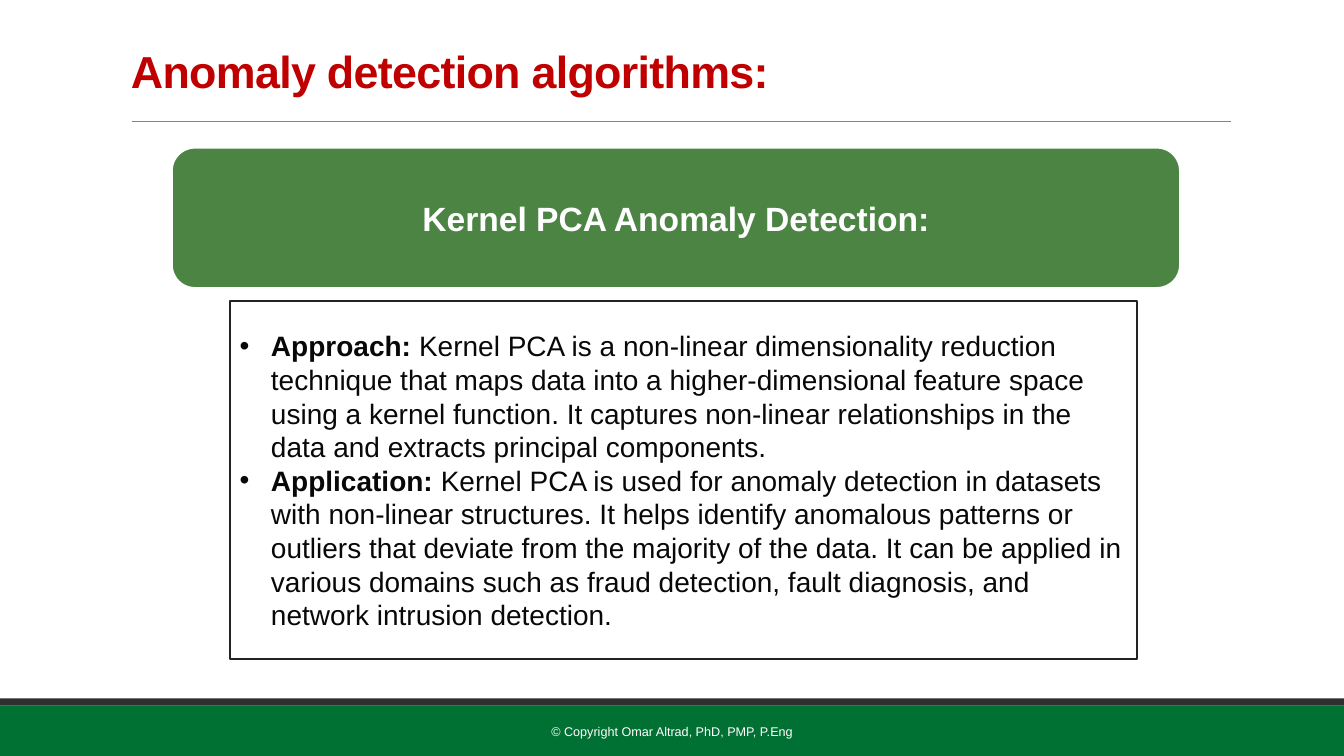
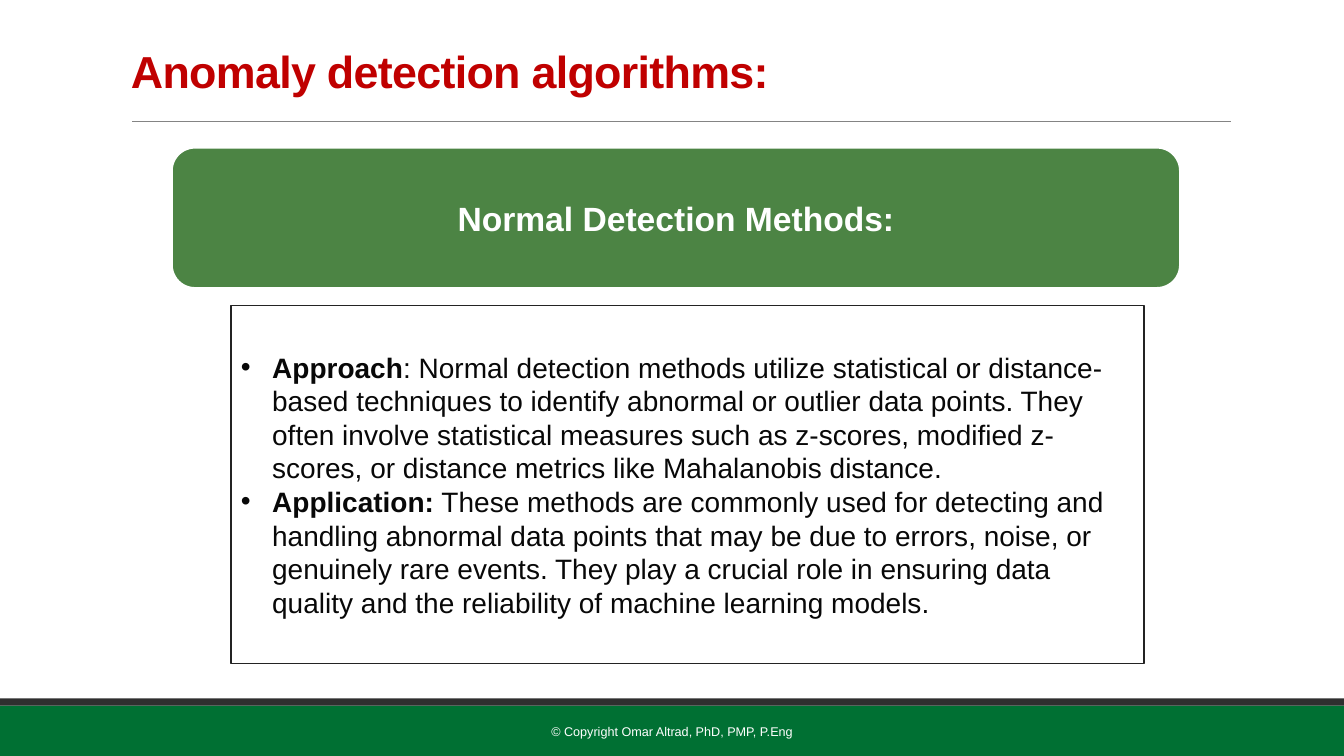
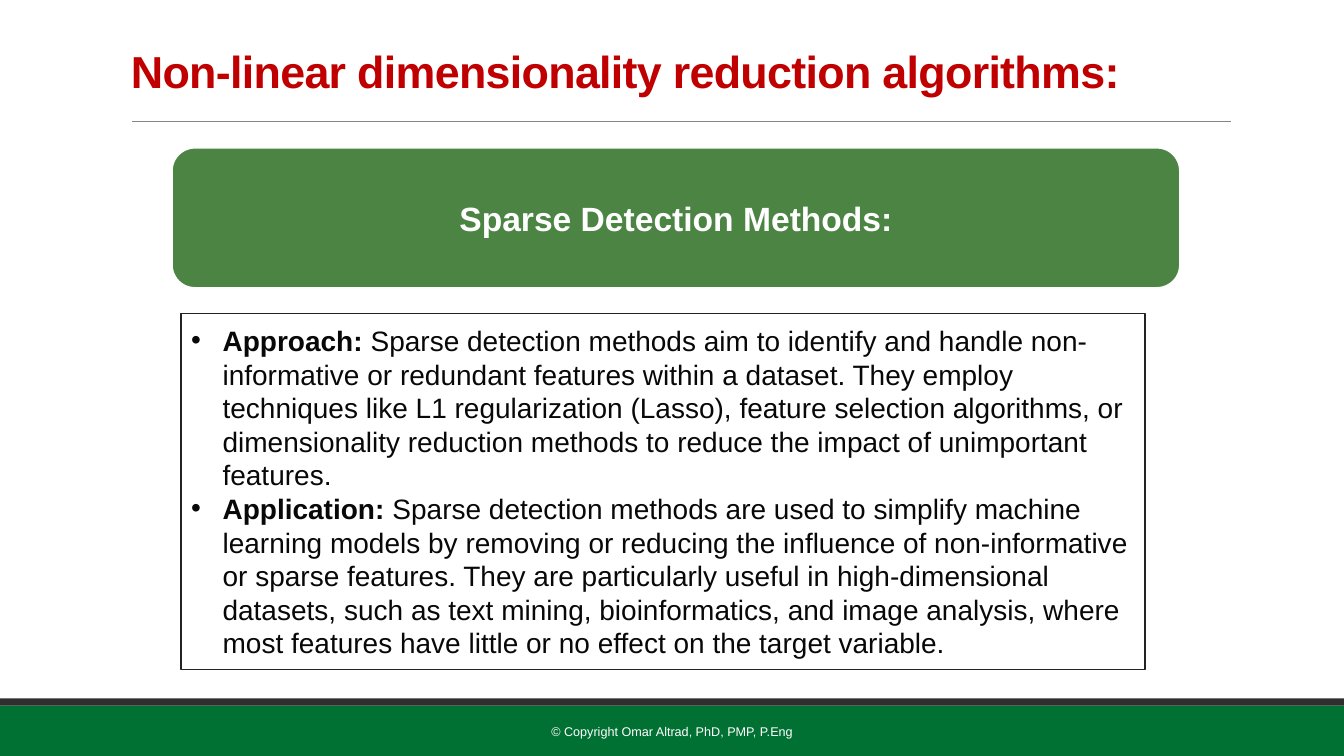
"""Build three slides on anomaly detection methods."""
from dataclasses import dataclass
from typing import Optional

from lxml.etree import SubElement
from pptx import Presentation
from pptx.dml.color import RGBColor
from pptx.enum.shapes import MSO_CONNECTOR, MSO_SHAPE
from pptx.enum.text import MSO_ANCHOR, PP_ALIGN
from pptx.oxml.ns import qn
from pptx.shapes.autoshape import Shape
from pptx.slide import Slide
from pptx.util import Cm, Pt


@dataclass(frozen=True)
class Theme:
    font: str = "Arial"
    title: str = "C00000"
    rule: str = "848484"
    band: str = "007033"
    strip: str = "2F2F2F"
    banner: str = "4C8444"
    white: str = "FFFFFF"
    border: str = "232323"
    body: str = "080808"
    title_size: int = 32
    banner_size: int = 24
    body_size: int = 20
    footer_size: int = 9


@dataclass(frozen=True)
class Box:
    left: float
    top: float
    width: float
    height: float

    def emu(self) -> tuple[Cm, Cm, Cm, Cm]:
        return Cm(self.left), Cm(self.top), Cm(self.width), Cm(self.height)


@dataclass(frozen=True)
class Bullet:
    lead: str
    text: str


@dataclass(frozen=True)
class Topic:
    title: str
    method: str
    card: Box
    bullets: tuple[Bullet, ...]


THEME = Theme()
WIDTH, HEIGHT = 33.87, 19.05
BAND = Box(0, 17.78, WIDTH, 1.27)
STRIP = Box(0, 17.6, WIDTH, 0.18)
TITLE = Box(3.05, 0.79, 27.94, 2.18)
FOOTER = Box(10.24, 17.93, 13.39, 1.02)
BANNER = Box(4.32, 3.71, 25.43, 3.56)
RULE_LEFT, RULE_RIGHT, RULE_TOP = 3.33, 31.01, 3.05
INDENT = 0.79
FOOTER_TEXT = "© Copyright Omar Altrad, PhD, PMP, P.Eng"
ANOMALY_TITLE = "Anomaly detection algorithms:"

TOPICS = (
    Topic(
        ANOMALY_TITLE,
        "Kernel PCA Anomaly Detection:",
        Box(5.79, 7.59, 22.86, 9.02),
        (
            Bullet(
                "Approach:",
                " Kernel PCA is a non-linear dimensionality reduction technique that "
                "maps data into a higher-dimensional feature space using a kernel "
                "function. It captures non-linear relationships in the data and "
                "extracts principal components.",
            ),
            Bullet(
                "Application:",
                " Kernel PCA is used for anomaly detection in datasets with non-linear "
                "structures. It helps identify anomalous patterns or outliers that "
                "deviate from the majority of the data. It can be applied in various "
                "domains such as fraud detection, fault diagnosis, and network "
                "intrusion detection.",
            ),
        ),
    ),
    Topic(
        ANOMALY_TITLE,
        "Normal Detection Methods:",
        Box(5.82, 7.7, 23.01, 9.02),
        (
            Bullet(
                "Approach",
                ": Normal detection methods utilize statistical or distance-based "
                "techniques to identify abnormal or outlier data points. They often "
                "involve statistical measures such as z-scores, modified z-scores, or "
                "distance metrics like Mahalanobis distance.",
            ),
            Bullet(
                "Application:",
                " These methods are commonly used for detecting and handling abnormal "
                "data points that may be due to errors, noise, or genuinely rare "
                "events. They play a crucial role in ensuring data quality and the "
                "reliability of machine learning models.",
            ),
        ),
    ),
    Topic(
        "Non-linear dimensionality reduction algorithms:",
        "Sparse Detection Methods:",
        Box(4.57, 7.9, 24.28, 8.97),
        (
            Bullet(
                "Approach: ",
                "Sparse detection methods aim to identify and handle non-informative "
                "or redundant features within a dataset. They employ techniques like "
                "L1 regularization (Lasso), feature selection algorithms, or "
                "dimensionality reduction methods to reduce the impact of unimportant "
                "features.",
            ),
            Bullet(
                "Application:",
                " Sparse detection methods are used to simplify machine learning models "
                "by removing or reducing the influence of non-informative or sparse "
                "features. They are particularly useful in high-dimensional datasets, "
                "such as text mining, bioinformatics, and image analysis, where most "
                "features have little or no effect on the target variable.",
            ),
        ),
    ),
)


def rgb(color: str) -> RGBColor:
    return RGBColor.from_string(color)


def add_run(p, text: str, size: int, color: str, bold: bool = False):
    r = p.add_run()
    r.text = text
    r.font.name = THEME.font
    r.font.size = Pt(size)
    r.font.bold = bold
    r.font.color.rgb = rgb(color)
    return r


def add_panel(s: Slide, kind: MSO_SHAPE, box: Box, fill: str,
              line: Optional[str] = None, weight: float = 0) -> Shape:
    sp = s.shapes.add_shape(kind, *box.emu())
    sp.shadow.inherit = False
    sp.fill.solid()
    sp.fill.fore_color.rgb = rgb(fill)
    if line:
        sp.line.color.rgb = rgb(line)
        sp.line.width = Pt(weight)
    else:
        sp.line.fill.background()
    return sp


def middle_frame(sp: Shape):
    tf = sp.text_frame
    tf.word_wrap = True
    tf.vertical_anchor = MSO_ANCHOR.MIDDLE
    return tf


def add_rule(s: Slide) -> None:
    sp = s.shapes.add_connector(MSO_CONNECTOR.STRAIGHT, Cm(RULE_LEFT), Cm(RULE_TOP),
                                Cm(RULE_RIGHT), Cm(RULE_TOP))
    sp.line.color.rgb = rgb(THEME.rule)
    sp.line.width = Pt(0.5)
    SubElement(sp._element.spPr, qn("a:effectLst"))


def add_frame(s: Slide, title: str) -> None:
    add_panel(s, MSO_SHAPE.RECTANGLE, BAND, THEME.band)
    add_panel(s, MSO_SHAPE.RECTANGLE, STRIP, THEME.strip)
    add_rule(s)

    p = middle_frame(s.shapes.add_textbox(*TITLE.emu())).paragraphs[0]
    p.line_spacing = 0.85
    r = add_run(p, title, THEME.title_size, THEME.title, bold=True)
    r.font._element.set("spc", "-50")

    p = middle_frame(s.shapes.add_textbox(*FOOTER.emu())).paragraphs[0]
    p.alignment = PP_ALIGN.CENTER
    add_run(p, FOOTER_TEXT, THEME.footer_size, THEME.white)


def add_banner(s: Slide, text: str) -> None:
    sp = add_panel(s, MSO_SHAPE.ROUNDED_RECTANGLE, BANNER, THEME.banner, THEME.white, 2)
    p = middle_frame(sp).paragraphs[0]
    p.alignment = PP_ALIGN.CENTER
    add_run(p, text, THEME.banner_size, THEME.white, bold=True)


def set_bullet(p) -> None:
    pPr = p._p.get_or_add_pPr()
    pPr.set("marL", str(Cm(INDENT)))
    pPr.set("indent", str(-Cm(INDENT)))
    SubElement(pPr, qn("a:buFont"), typeface=THEME.font)
    SubElement(pPr, qn("a:buChar"), char="•")


def add_card(s: Slide, box: Box, bullets: tuple[Bullet, ...]) -> None:
    sp = add_panel(s, MSO_SHAPE.RECTANGLE, box, THEME.white, THEME.border, 1.25)
    tf = middle_frame(sp)
    for i, bullet in enumerate(bullets):
        p = tf.add_paragraph() if i else tf.paragraphs[0]
        p.alignment = PP_ALIGN.LEFT
        set_bullet(p)
        add_run(p, bullet.lead, THEME.body_size, THEME.body, bold=True)
        add_run(p, bullet.text, THEME.body_size, THEME.body)


def main() -> None:
    prs = Presentation()
    prs.slide_width, prs.slide_height = Cm(WIDTH), Cm(HEIGHT)
    for topic in TOPICS:
        s = prs.slides.add_slide(prs.slide_layouts[6])
        add_frame(s, topic.title)
        add_banner(s, topic.method)
        add_card(s, topic.card, topic.bullets)
    prs.save("out.pptx")


if __name__ == "__main__":
    main()
